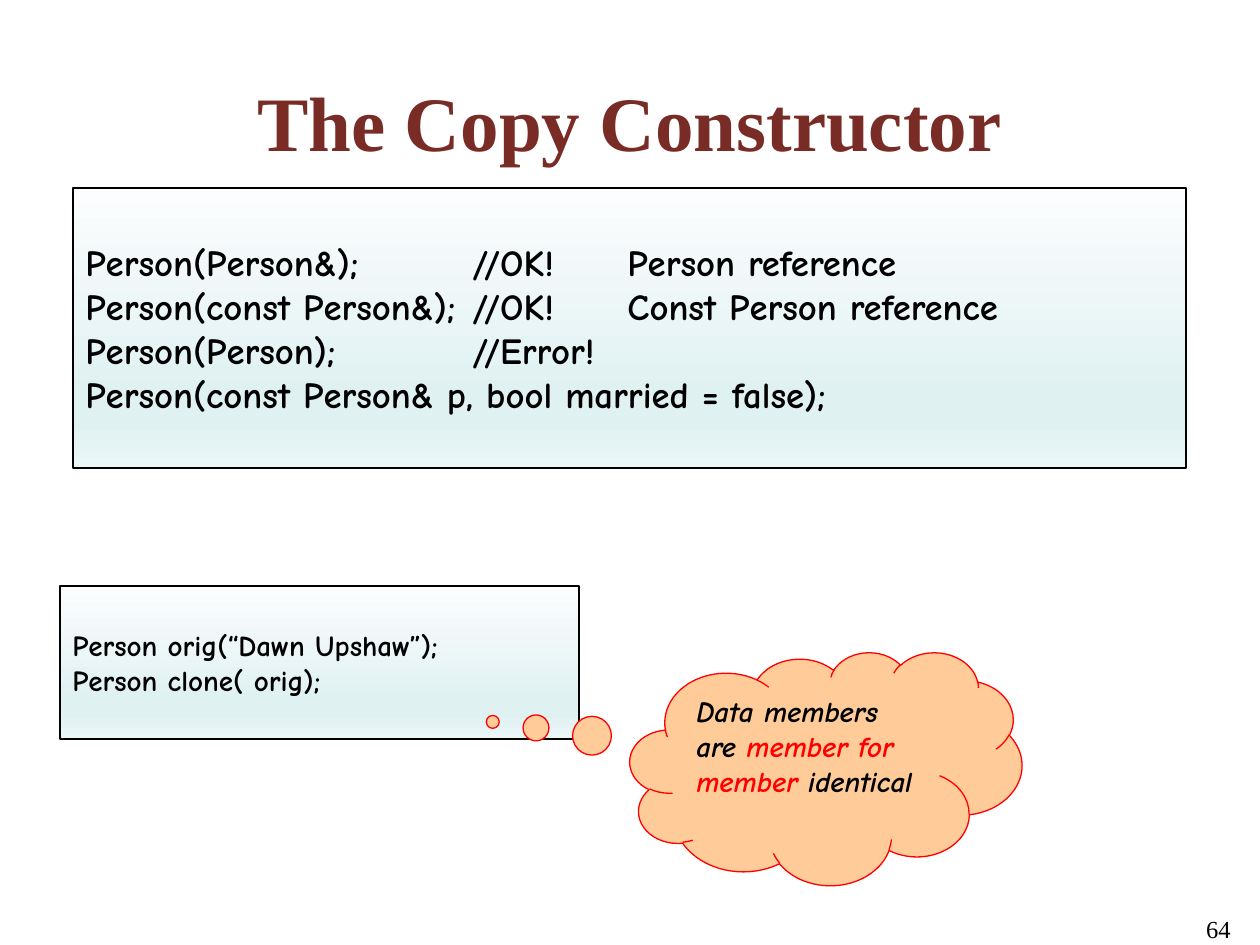
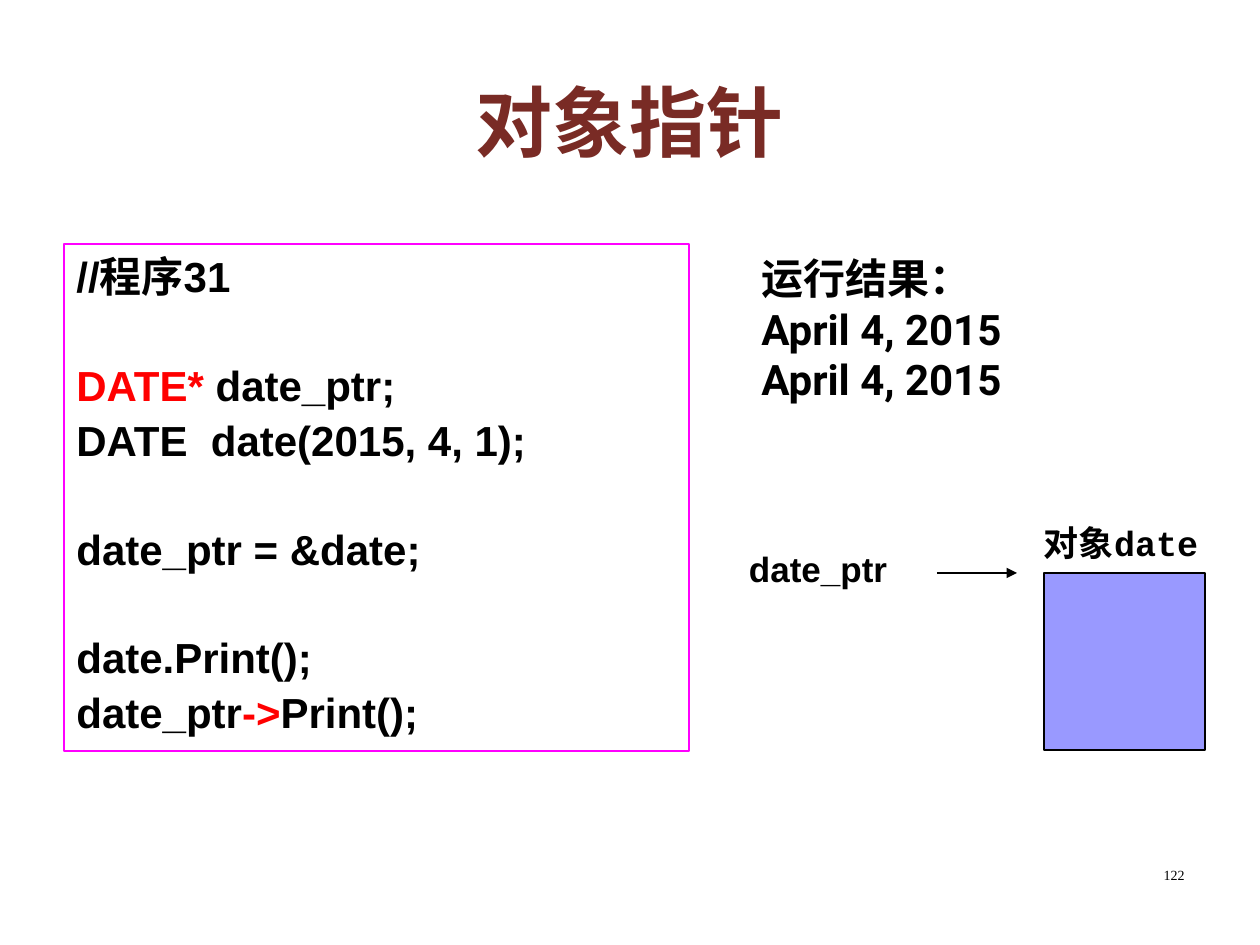
from lxml import etree
from pptx import Presentation
from pptx.dml.color import RGBColor
from pptx.enum.shapes import MSO_CONNECTOR, MSO_SHAPE
from pptx.enum.text import MSO_ANCHOR, PP_ALIGN
from pptx.oxml.ns import qn
from pptx.util import Pt

EMU_PER_PX = 914400 / 126

BLACK = RGBColor(0x00, 0x00, 0x00)
RED = RGBColor(0xFF, 0x00, 0x00)
MAROON = RGBColor(0x79, 0x2B, 0x25)
MAGENTA = RGBColor(0xFF, 0x00, 0xFF)
PEACH = RGBColor(0xFF, 0xCC, 0x99)
BLUE = RGBColor(0x00, 0x00, 0xFF)
PANEL_STOPS = [
    (0, RGBColor(0xFC, 0xFD, 0xFE)),
    (74, RGBColor(0xE0, 0xF1, 0xF2)),
    (83, RGBColor(0xE0, 0xF1, 0xF2)),
    (100, RGBColor(0xEB, 0xF6, 0xF7)),
]

TITLE_BOX = (63, 53, 1134, 136)
TITLE_FONT = {"name": "Times New Roman", "size": Pt(44), "bold": True}
PANEL_FONT = {"name": "Comic Neue", "size": Pt(21), "bold": True}
SMALL_PANEL_FONT = PANEL_FONT | {"size": Pt(16.6)}
CLOUD_FONT = SMALL_PANEL_FONT | {"italic": True}
PROGRAM_FONT = {"name": "Arial", "size": Pt(24), "bold": True}
RESULT_FONT = PROGRAM_FONT | {"name": "Roboto"}
POINTER_FONT = PROGRAM_FONT | {"size": Pt(20)}
OBJECT_FONT = POINTER_FONT | {"name": "Courier New"}

NO_INSETS = dict.fromkeys(
    ("margin_left", "margin_top", "margin_right", "margin_bottom"), 0)


def px(length):
    return round(length * EMU_PER_PX)


def scaled(box):
    return [px(length) for length in box]


def apply_format(target, values):
    for name, value in values.items():
        setattr(target, name, value)


def add_tabs(paragraph, stops):
    tab_list = etree.SubElement(paragraph._p.get_or_add_pPr(), qn("a:tabLst"))
    for stop in stops:
        etree.SubElement(tab_list, qn("a:tab"), pos=str(px(stop)), algn="l")


def write(shape, lines, font, color=BLACK, align=PP_ALIGN.LEFT, tabs=(),
          spacing=(), **frame_format):
    """Fill a shape with lines, each a string or a list of (text, color) runs."""
    frame = shape.text_frame
    apply_format(frame, {"word_wrap": True, "vertical_anchor": MSO_ANCHOR.TOP}
                 | frame_format)
    for index, line in enumerate(lines):
        paragraph = frame.add_paragraph() if index else frame.paragraphs[0]
        paragraph.alignment = align
        if index and spacing:
            paragraph.space_before = Pt(spacing[index])
        if tabs:
            add_tabs(paragraph, tabs)
        runs = [(line, color)] if isinstance(line, str) else line
        for text, run_color in runs:
            run = paragraph.add_run()
            run.text = text
            apply_format(run.font, font)
            run.font.color.rgb = run_color


def add_text(slide, box, lines, font, **options):
    write(slide.shapes.add_textbox(*scaled(box)), lines, font, **options)


def add_outlined(slide, kind, box, line_color, line_width=0.75, fill=None):
    shape = slide.shapes.add_shape(kind, *scaled(box))
    shape.shadow.inherit = False
    shape.line.color.rgb = line_color
    shape.line.width = Pt(line_width)
    if fill is None:
        shape.fill.background()
    else:
        shape.fill.solid()
        shape.fill.fore_color.rgb = fill
    return shape


def add_titled_slide(presentation, title, number, number_box, number_size):
    slide = presentation.slides.add_slide(presentation.slide_layouts[5])
    heading = slide.shapes.title
    apply_format(heading, dict(zip(("left", "top", "width", "height"),
                                   scaled(TITLE_BOX))))
    write(heading, [title], TITLE_FONT, MAROON, PP_ALIGN.CENTER,
          vertical_anchor=MSO_ANCHOR.MIDDLE)
    add_text(slide, number_box, [number],
             {"name": "Times New Roman", "size": Pt(number_size)},
             align=PP_ALIGN.RIGHT)
    return slide


def add_code_panel(slide, box, lines, font, tabs=()):
    panel = add_outlined(slide, MSO_SHAPE.RECTANGLE, box, BLACK)
    panel.fill.gradient()
    panel.fill.gradient_angle = 270
    stop_list = panel._element.spPr.find(qn("a:gradFill")).find(qn("a:gsLst"))
    for stop in list(stop_list):
        stop_list.remove(stop)
    for percent, color in PANEL_STOPS:
        stop = etree.SubElement(stop_list, qn("a:gs"), pos=str(percent * 1000))
        etree.SubElement(stop, qn("a:srgbClr"), val=str(color))
    write(panel, lines, font, tabs=tabs, vertical_anchor=MSO_ANCHOR.MIDDLE)


def add_thought_cloud(slide, box):
    cloud = add_outlined(slide, MSO_SHAPE.CLOUD_CALLOUT, box, RED, fill=PEACH)
    cloud.adjustments[0] = -0.85
    cloud.adjustments[1] = -0.2
    write(cloud, [[("Data members are ", BLACK), ("member for member", RED),
                   (" identical", BLACK)]], CLOUD_FONT)


def add_program(slide, box):
    program = add_outlined(slide, MSO_SHAPE.RECTANGLE, box, MAGENTA)
    step, break_before = 2.7, 33.2
    lines = [
        ("//程序31", 0),
        ([("DATE* ", RED), ("date_ptr;", BLACK)], break_before),
        ("DATE  date(2015, 4, 1);", step),
        ("date_ptr = &date;", break_before),
        ("date.Print();", break_before),
        ([("date_ptr", BLACK), ("->", RED), ("Print();", BLACK)], step),
    ]
    write(program, [line for line, _ in lines], PROGRAM_FONT,
          spacing=[space for _, space in lines], margin_top=px(7))


def add_pointer_diagram(slide, box):
    left, top, width, height = box
    object_width, label_height, pointer_width = 161, 51, 188
    object_left = left + width - object_width
    object_top = top + label_height
    add_text(slide, (object_left, top, object_width, label_height),
             ["对象date"], OBJECT_FONT, **NO_INSETS)
    memory = add_outlined(
        slide, MSO_SHAPE.RECTANGLE,
        (object_left, object_top, object_width, height - label_height),
        BLACK, 1, BLUE)
    color = memory._element.spPr.find(qn("a:solidFill"))[0]
    etree.SubElement(color, qn("a:alpha"), val="40000")
    add_text(slide, (left, top + 26, pointer_width, label_height),
             ["date_ptr"], POINTER_FONT, **NO_INSETS)
    arrow = slide.shapes.add_connector(
        MSO_CONNECTOR.STRAIGHT,
        *scaled((left + pointer_width, object_top, object_left - 27, object_top)))
    arrow.line.color.rgb = BLACK
    arrow.line.width = Pt(1)
    etree.SubElement(arrow.line._get_or_add_ln(), qn("a:tailEnd"), type="triangle")
    etree.SubElement(arrow._element.spPr, qn("a:effectLst"))


def build_copy_constructor(presentation):
    slide = add_titled_slide(presentation, "The Copy Constructor", "64",
                             (928, 908, 315, 66), 14)
    add_code_panel(slide, (73, 188, 1113, 280), [
        "Person(Person&);\t//OK!\tPerson reference",
        "Person(const Person&);\t//OK!\tConst Person reference",
        "Person(Person);\t//Error!",
        "Person(const Person& p, bool married = false);",
    ], PANEL_FONT, tabs=(387, 542))
    add_code_panel(slide, (60, 586, 519, 153), [
        "Person orig(“Dawn Upshaw”);",
        "Person clone( orig);",
    ], SMALL_PANEL_FONT)
    add_thought_cloud(slide, (630, 652, 392, 233))


def build_object_pointer(presentation):
    slide = add_titled_slide(presentation, "对象指针", "122",
                             (903, 860, 294, 66), 8)
    add_program(slide, (64, 244, 625, 507))
    add_pointer_diagram(slide, (749, 522, 456, 228))
    add_text(slide, (749, 244, 417, 169),
             ["运行结果：", "April 4, 2015", "April 4, 2015"], RESULT_FONT,
             vertical_anchor=MSO_ANCHOR.MIDDLE)


def main():
    presentation = Presentation()
    presentation.slide_width = px(1260)
    presentation.slide_height = px(945)
    build_copy_constructor(presentation)
    build_object_pointer(presentation)
    presentation.save("out.pptx")


if __name__ == "__main__":
    main()
